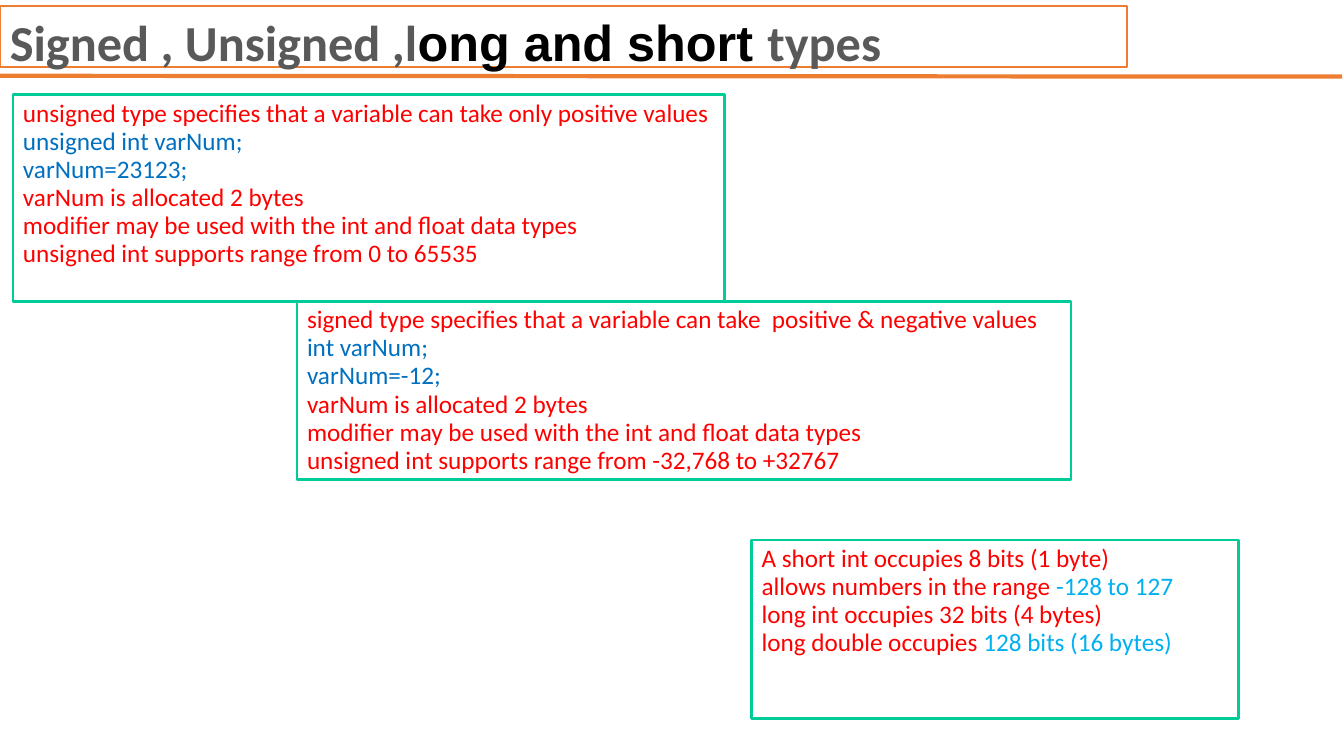
from pptx import Presentation
from pptx.dml.color import RGBColor
from pptx.enum.shapes import MSO_CONNECTOR, MSO_SHAPE
from pptx.enum.text import MSO_ANCHOR, PP_ALIGN
from pptx.oxml.ns import qn
from pptx.util import Cm, Pt
from lxml.etree import SubElement

WHITE = RGBColor(0xFF, 0xFF, 0xFF)
BLACK = RGBColor(0, 0, 0)
GRAY = RGBColor(0x59, 0x59, 0x59)
ORANGE = RGBColor(0xED, 0x7D, 0x31)
GREEN = RGBColor(0, 0xCC, 0x99)
RED = RGBColor(0xFF, 0, 0)
BLUE = RGBColor(0, 0x70, 0xC0)
SKY = RGBColor(0, 0xB0, 0xF0)

# A paragraph is a list of (text, colour, font) or (text, colour) runs.
TITLE = [[
    ("Signed , Unsigned ,l", GRAY, "Calibri"),
    ("ong and short ", BLACK, "Arial"),
    ("types", GRAY, "Calibri"),
]]
ALLOCATION = [
    [("varNum is allocated 2 bytes", RED)],
    [("modifier may be used with the int and float data types", RED)],
]
UNSIGNED = [
    [("unsigned type specifies that a variable can take only positive values", RED)],
    [("unsigned int varNum;", BLUE)],
    [("varNum=23123;", BLUE)],
    *ALLOCATION,
    [("unsigned int supports range from 0 to 65535", RED)],
]
SIGNED = [
    [("signed type specifies that a variable can take  positive & negative values", RED),
     (" int varNum;", BLUE)],
    [("varNum=-12;", BLUE)],
    *ALLOCATION,
    [("unsigned int supports range from -32,768 to +32767", RED)],
]
SIZES = [
    [("A short int occupies 8 bits (1 byte)", RED)],
    [("allows numbers in the range ", RED), ("-128 to 127", SKY)],
    [("long int occupies 32 bits (4 bytes)", RED)],
    [("long double occupies ", RED), ("128 bits (16 bytes)", SKY)],
]

# Left, top, width, height in centimetres, then paragraphs and alignment
NOTES = [
    (0.33, 2.39, 17.93, 5.2, UNSIGNED, PP_ALIGN.LEFT),
    (7.49, 7.59, 19.51, 4.5, SIGNED, PP_ALIGN.LEFT),
    (18.95, 13.61, 12.27, 4.5, SIZES, PP_ALIGN.JUSTIFY),
]


def add_box(slide, bounds, line_color, line_width):
    shape = slide.shapes.add_shape(MSO_SHAPE.RECTANGLE, *map(Cm, bounds))
    shape.shadow.inherit = False
    shape.fill.background()
    shape.line.color.rgb = line_color
    shape.line.width = Pt(line_width)
    shape.text_frame.word_wrap = True
    shape.text_frame.vertical_anchor = MSO_ANCHOR.TOP
    return shape


def write(shape, paragraphs, size, alignment=PP_ALIGN.LEFT, spacing=1.0, bold=False):
    text_frame = shape.text_frame
    for index, runs in enumerate(paragraphs):
        paragraph = text_frame.add_paragraph() if index else text_frame.paragraphs[0]
        paragraph.alignment = alignment
        paragraph.line_spacing = spacing
        for text, color, *font_name in runs:
            run = paragraph.add_run()
            run.text = text
            run.font.name = font_name[0] if font_name else "Calibri"
            run.font.size = Pt(size)
            run.font.bold = bold
            run.font.color.rgb = color


presentation = Presentation()
presentation.slide_width = Cm(33.88)
presentation.slide_height = Cm(19.05)
slide = presentation.slides.add_slide(presentation.slide_layouts[6])

rule = slide.shapes.add_connector(
    MSO_CONNECTOR.STRAIGHT, Cm(-0.02), Cm(1.91), Cm(33.83), Cm(1.93))
rule.line.color.rgb = ORANGE
rule.line.width = Pt(3)
SubElement(rule._element.spPr, qn("a:effectLst"))

write(add_box(slide, (0, 0.15, 28.42, 1.55), ORANGE, 1.5), TITLE, 36, bold=True)

for *bounds, paragraphs, alignment in NOTES:
    note = add_box(slide, bounds, GREEN, 2)
    note.fill.solid()
    note.fill.fore_color.rgb = WHITE
    write(note, paragraphs, 18, alignment, spacing=0.93)

presentation.save("out.pptx")
